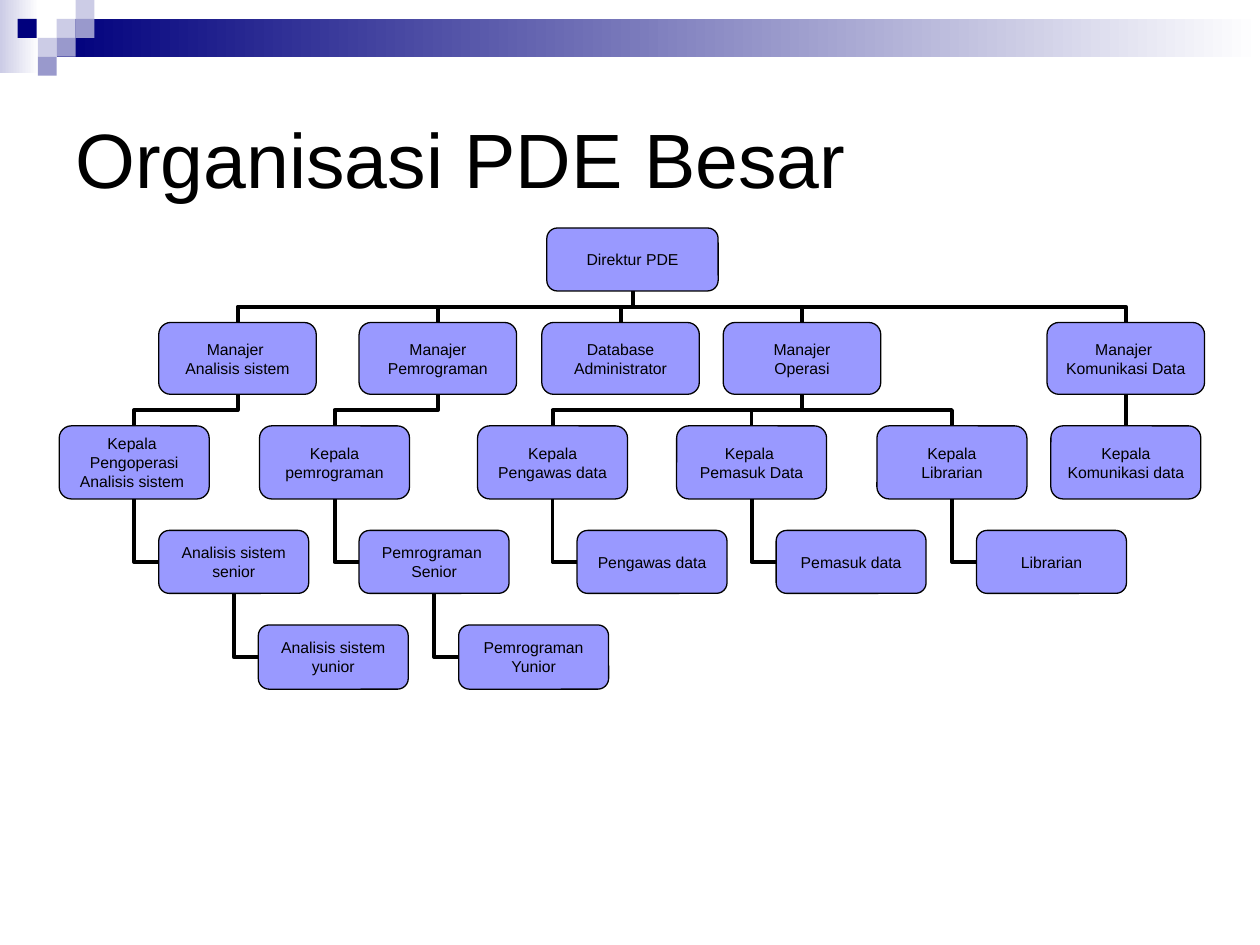
from dataclasses import dataclass
from lxml import etree
from pptx import Presentation
from pptx.dml.color import RGBColor
from pptx.enum.shapes import MSO_CONNECTOR, MSO_SHAPE
from pptx.enum.text import MSO_ANCHOR, PP_ALIGN
from pptx.oxml.ns import qn
from pptx.util import Inches, Pt


@dataclass(frozen=True)
class Theme:
    font: str = "Arial"
    black: str = "000000"
    white: str = "FFFFFF"
    navy: str = "00007D"
    mid: str = "9999CC"
    pale: str = "CCCCE6"
    box: str = "9999FF"
    title_size: float = 44
    box_size: float = 9
    outline: float = 0.74
    link: float = 2.24


T = Theme()
TITLE = "Organisasi PDE Besar"
BANDS = [(0, 0, 0.31, 0.58, T.pale), (0.45, 0.15, 9.55, 0.3, T.navy)]
TILE = 0.15
TILES = [
    (0.45, 0.15, T.pale), (0.6, 0, T.pale), (0.6, 0.15, T.mid), (0.3, 0.3, T.pale),
    (0.14, 0.15, T.navy), (0.45, 0.3, T.mid), (0.3, 0.45, T.mid),
]
LEVELS = [(1.81, 1.36, 0.5), (2.56, 1.25, 0.57), (3.38, 1.19, 0.58),
          (4.21, 1.19, 0.5), (4.96, 1.19, 0.51)]
INDENT = 0.79
FIRST_INDENTED = 3
CHART = ("Direktur PDE", 4.34, [
    ("Manajer \nAnalisis sistem", 1.26, [
        ("Kepala \nPengoperasi\nAnalisis sistem ", 0.47, [
            ("Analisis sistem\nsenior", None, [
                ("Analisis sistem\nyunior", None, [])])])]),
    ("Manajer\nPemrograman", 2.85, [
        ("Kepala\npemrograman", 2.06, [
            ("Pemrograman \nSenior", None, [
                ("Pemrograman\nYunior", None, [])])])]),
    ("Database\nAdministrator", 4.3, []),
    ("Manajer\nOperasi", 5.74, [
        ("Kepala\nPengawas data", 3.79, [("Pengawas data", None, [])]),
        ("Kepala \nPemasuk Data", 5.37, [("Pemasuk data", None, [])]),
        ("Kepala\nLibrarian", 6.96, [("Librarian", None, [])])]),
    ("Manajer \nKomunikasi Data", 8.31, [("Kepala\nKomunikasi data", 8.34, [])]),
])
TOP, LEFT, BOTTOM = 0, 1, 2

prs = Presentation()
prs.slide_width, prs.slide_height = Inches(10), Inches(7.5)
s = prs.slides.add_slide(prs.slide_layouts[6])


def rgb(color):
    return RGBColor.from_string(color)


def write(sp, text, size, align=PP_ALIGN.LEFT, wrap=True, inset=(0.1, 0.05)):
    tf = sp.text_frame
    tf.word_wrap = wrap
    tf.vertical_anchor = MSO_ANCHOR.MIDDLE
    tf.margin_left = tf.margin_right = Inches(inset[0])
    tf.margin_top = tf.margin_bottom = Inches(inset[1])
    for i, line in enumerate(text.split("\n")):
        p = tf.paragraphs[0] if i == 0 else tf.add_paragraph()
        p.alignment = align
        r = p.add_run()
        r.text = line
        r.font.name, r.font.size = T.font, Pt(size)
        r.font.color.rgb = rgb(T.black)


def add_block(kind, x, y, w, h):
    sp = s.shapes.add_shape(kind, Inches(x), Inches(y), Inches(w), Inches(h))
    sp.shadow.inherit = False
    return sp


def fill(sp, color):
    sp.fill.solid()
    sp.fill.fore_color.rgb = rgb(color)


def add_link(parent, child, stepped):
    c = s.shapes.add_connector(MSO_CONNECTOR.ELBOW, 0, 0, 0, 0)
    c.begin_connect(child, LEFT if stepped else TOP)
    c.end_connect(parent, BOTTOM)
    x1 = child.left if stepped else child.left + child.width // 2
    y1 = child.top + child.height // 2 if stepped else child.top
    x2, y2 = parent.left + parent.width // 2, parent.top + parent.height
    dx, dy = abs(x1 - x2), y1 - y2
    if stepped:
        w, h, rot, flips = dx, dy, 180, ""
    else:
        w, h = dy, dx
        rot, flips = (270, "V") if x1 > x2 else (90, "HV")
    c.left, c.top = (x1 + x2 - w) // 2, (y1 + y2 - h) // 2
    c.width, c.height = w, h
    pr = c._element.spPr
    xfrm = pr.find(qn("a:xfrm"))
    xfrm.set("rot", str(rot * 60000))
    for axis in "HV":
        xfrm.set("flip" + axis, str(int(axis in flips)))
    if stepped:
        pr.find(qn("a:prstGeom")).set("prst", "bentConnector2")
    c.line.color.rgb, c.line.width = rgb(T.black), Pt(T.link)
    etree.SubElement(pr, qn("a:effectLst"))
    first_box.addprevious(c._element)


def add_branch(node, level=0, parent=None, parent_x=0):
    text, x, children = node
    x = parent_x + INDENT if x is None else x
    y, w, h = LEVELS[level]
    sp = add_block(MSO_SHAPE.ROUNDED_RECTANGLE, x, y, w, h)
    sp.adjustments[0] = 0.167
    fill(sp, T.box)
    sp.line.color.rgb, sp.line.width = rgb(T.black), Pt(T.outline)
    write(sp, text, T.box_size, align=PP_ALIGN.CENTER, wrap=False, inset=(0.05, 0.03))
    links.append((parent, sp, level >= FIRST_INDENTED))
    for child in children:
        add_branch(child, level + 1, sp, x)
    return sp


for x, y, w, h, color in BANDS:
    sp = add_block(MSO_SHAPE.RECTANGLE, x, y, w, h)
    sp.line.fill.background()
    sp.fill.gradient()
    sp.fill.gradient_angle = 180
    for stop, shade in zip(sp.fill.gradient_stops, (T.white, color)):
        stop.color.rgb = rgb(shade)

for x, y, color in TILES:
    sp = add_block(MSO_SHAPE.RECTANGLE, x, y, TILE, TILE)
    sp.line.fill.background()
    fill(sp, color)

title = s.shapes.add_textbox(Inches(0.5), Inches(0.5), Inches(9), Inches(1.5))
write(title, TITLE, T.title_size)

links = []
first_box = add_branch(CHART)._element
for parent, child, stepped in links[1:]:
    add_link(parent, child, stepped)

prs.save("out.pptx")
